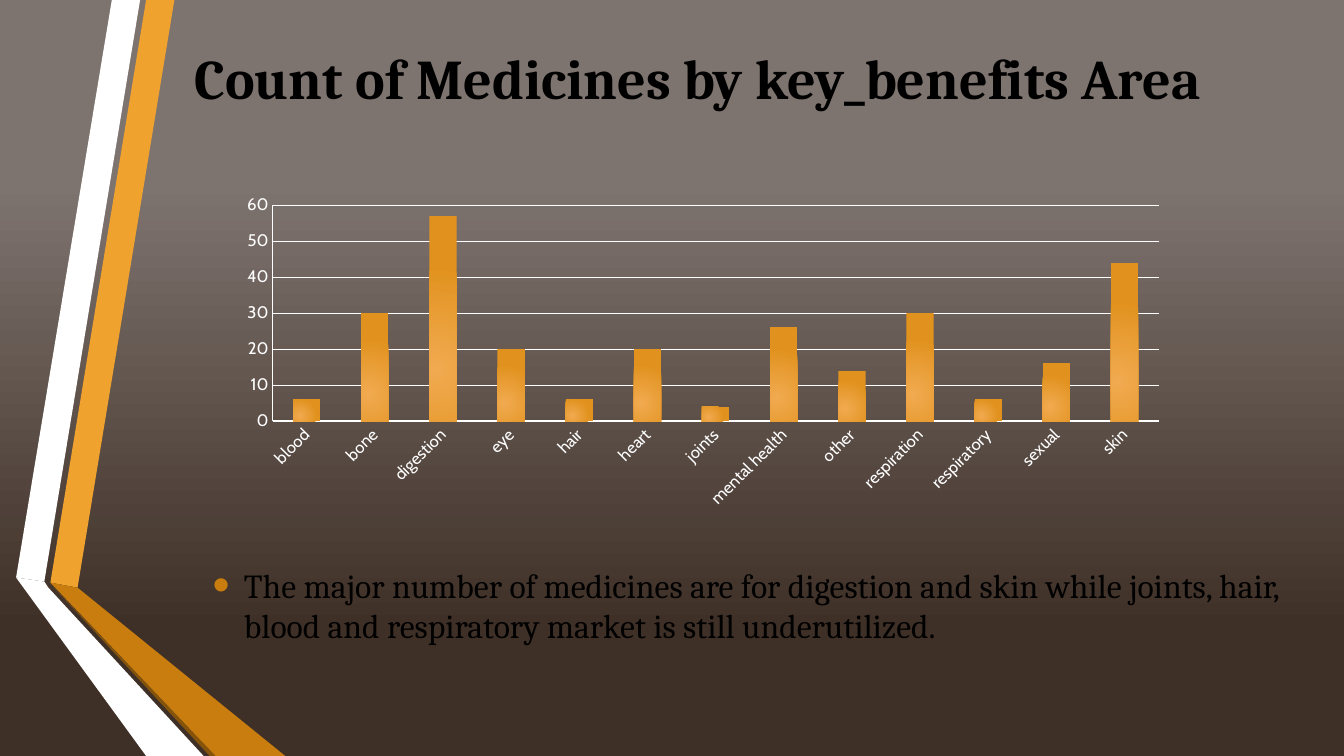
from lxml import etree
from pptx import Presentation
from pptx.chart.data import CategoryChartData
from pptx.dml.color import RGBColor
from pptx.enum.chart import XL_CHART_TYPE as ChartType, XL_TICK_MARK as TickMark
from pptx.enum.text import MSO_ANCHOR as Anchor, MSO_AUTO_SIZE as AutoSize, PP_ALIGN as Align
from pptx.oxml import parse_xml
from pptx.oxml.ns import nsdecls, qn
from pptx.util import Inches, Pt

BLACK = RGBColor(0x00, 0x00, 0x00)
WHITE = RGBColor(0xFF, 0xFF, 0xFF)
TAUPE = RGBColor(0x7E, 0x74, 0x6F)
BROWN = RGBColor(0x3F, 0x30, 0x27)
ORANGE = RGBColor(0xF0, 0xA2, 0x2E)
DARK_ORANGE = RGBColor(0xC8, 0x7D, 0x0E)
SHADE = RGBColor(0x85, 0x54, 0x0A)
BAR_LIGHT = RGBColor(0xF1, 0xAA, 0x50)
BAR_DARK = RGBColor(0xE1, 0x92, 0x1E)

TEXT_FONT = "Cambria"
CHART_FONT = "Cabin"

# Folded ribbons at the left edge: colour and corner points in inches
RIBBONS = [
    (ORANGE, [(0.5, 5.78), (0.77, 5.83), (1.73, 0), (1.45, 0)]),
    (WHITE, [(1.39, 0), (1.11, 0), (0.16, 5.73), (0.44, 5.77)]),
    (SHADE, [(0.5, 5.79), (2.08, 7.5), (2.14, 7.5)]),
    (DARK_ORANGE, [(0.5, 5.78), (2.14, 7.5), (2.83, 7.5), (0.77, 5.83)]),
    (WHITE, [(0.16, 5.73), (1.45, 7.5), (2.02, 7.5), (0.48, 5.83), (0.44, 5.77)]),
]

MEDICINE_COUNTS = {
    "blood": 6, "bone": 30, "digestion": 57, "eye": 20, "hair": 6,
    "heart": 20, "joints": 4, "mental health": 26, "other": 14,
    "respiration": 30, "respiratory": 6, "sexual": 16, "skin": 44,
}


def set_gradient(fill, stops):
    fill.gradient()
    for stop, (position, color) in zip(fill.gradient_stops, stops):
        stop.position = position
        stop.color.rgb = color


def add_ribbon(slide, color, points):
    corners = [(Inches(x), Inches(y)) for x, y in points]
    builder = slide.shapes.build_freeform(*corners[0])
    builder.add_line_segments(corners[1:], close=True)
    ribbon = builder.convert_to_shape()
    ribbon.shadow.inherit = False
    ribbon.fill.solid()
    ribbon.fill.fore_color.rgb = color
    ribbon.line.fill.background()


def fill_placeholder(holder, box, text, size, align, bold=False):
    holder.left, holder.top, holder.width, holder.height = map(Inches, box)
    frame = holder.text_frame
    frame.word_wrap = True
    frame.auto_size = AutoSize.NONE
    frame.vertical_anchor = Anchor.MIDDLE
    paragraph = frame.paragraphs[0]
    paragraph.alignment = align
    paragraph.space_before = Pt(0)
    run = paragraph.add_run()
    run.text = text
    run.font.name = TEXT_FONT
    run.font.size = Pt(size)
    run.font.bold = bold
    run.font.color.rgb = BLACK
    return paragraph


def add_bullet(paragraph, color):
    properties = paragraph._p.get_or_add_pPr()
    properties.set("marL", str(Inches(0.31)))
    properties.set("indent", str(Inches(-0.31)))
    bullet_color = etree.SubElement(properties, qn("a:buClr"))
    etree.SubElement(bullet_color, qn("a:srgbClr"), val=str(color))
    etree.SubElement(properties, qn("a:buSzPct"), val="145000")
    etree.SubElement(properties, qn("a:buFont"), typeface="Arial")
    etree.SubElement(properties, qn("a:buChar"), char="•")


def style_font(font, size):
    font.name = CHART_FONT
    font.size = Pt(size)
    font.color.rgb = WHITE


def style_line(line, width):
    line.color.rgb = WHITE
    line.width = Pt(width)


def style_axis(axis, line_width):
    axis.major_tick_mark = axis.minor_tick_mark = TickMark.NONE
    style_font(axis.tick_labels.font, 12)
    style_line(axis.format.line, line_width)


def set_plot_area(chart, x, y, w, h):
    plot_area = chart._chartSpace.chart.plotArea
    for layout in plot_area.findall(qn("c:layout")):
        plot_area.remove(layout)
    plot_area.insert(0, parse_xml(
        f'<c:layout {nsdecls("c")}><c:manualLayout><c:layoutTarget val="inner"/>'
        '<c:xMode val="edge"/><c:yMode val="edge"/>'
        f'<c:x val="{x}"/><c:y val="{y}"/><c:w val="{w}"/><c:h val="{h}"/>'
        '</c:manualLayout></c:layout>'))


def add_medicine_chart(slide):
    data = CategoryChartData()
    data.categories = list(MEDICINE_COUNTS)
    data.add_series("Series 1", list(MEDICINE_COUNTS.values()))
    chart = slide.shapes.add_chart(
        ChartType.COLUMN_CLUSTERED, Inches(2.22), Inches(1.19),
        Inches(9.49), Inches(4.59), data).chart
    chart.has_title = False
    chart.has_legend = False
    style_font(chart.font, 10)
    set_plot_area(chart, 0.051, 0.184, 0.926, 0.467)

    # Axes
    benefits, counts = chart.category_axis, chart.value_axis
    style_axis(benefits, 1)
    benefits._element.find(qn("c:txPr")).find(qn("a:bodyPr")).set("rot", "-2700000")
    style_axis(counts, 0.75)
    counts.minimum_scale, counts.maximum_scale, counts.major_unit = 0, 60, 10
    counts.has_major_gridlines = True
    style_line(counts.major_gridlines.format.line, 0.75)

    # Bars with a radial glow
    plot = chart.plots[0]
    plot.vary_by_categories = False
    plot.gap_width = 150
    bars = plot.series[0]
    set_gradient(bars.format.fill, [(0, BAR_LIGHT), (1, BAR_DARK)])
    linear = next(bars._element.iter(qn("a:lin")))
    linear.getparent().replace(linear, parse_xml(
        f'<a:path {nsdecls("a")} path="circle">'
        '<a:fillToRect l="50000" t="100000" r="100000" b="50000"/></a:path>'))


def main():
    deck = Presentation()
    deck.slide_width, deck.slide_height = Inches(13.33), Inches(7.5)
    slide = deck.slides.add_slide(deck.slide_layouts[1])

    # Background, dark towards the bottom
    backdrop = slide.background.fill
    set_gradient(backdrop, [(0.24, TAUPE), (0.83, BROWN)])
    backdrop.gradient_angle = 270

    for color, points in RIBBONS:
        add_ribbon(slide, color, points)

    # Heading and finding
    fill_placeholder(slide.shapes.title, (1.44, 0.1, 10.96, 1.32),
                     "Count of Medicines by key_benefits Area", 40, Align.CENTER, bold=True)
    finding = fill_placeholder(
        slide.placeholders[1], (2.01, 5.4, 10.96, 1.2),
        "The major number of medicines are for digestion and skin while joints, hair, "
        "blood and respiratory market is still underutilized.", 24, Align.LEFT)
    add_bullet(finding, DARK_ORANGE)

    add_medicine_chart(slide)
    deck.save("out.pptx")


if __name__ == "__main__":
    main()
